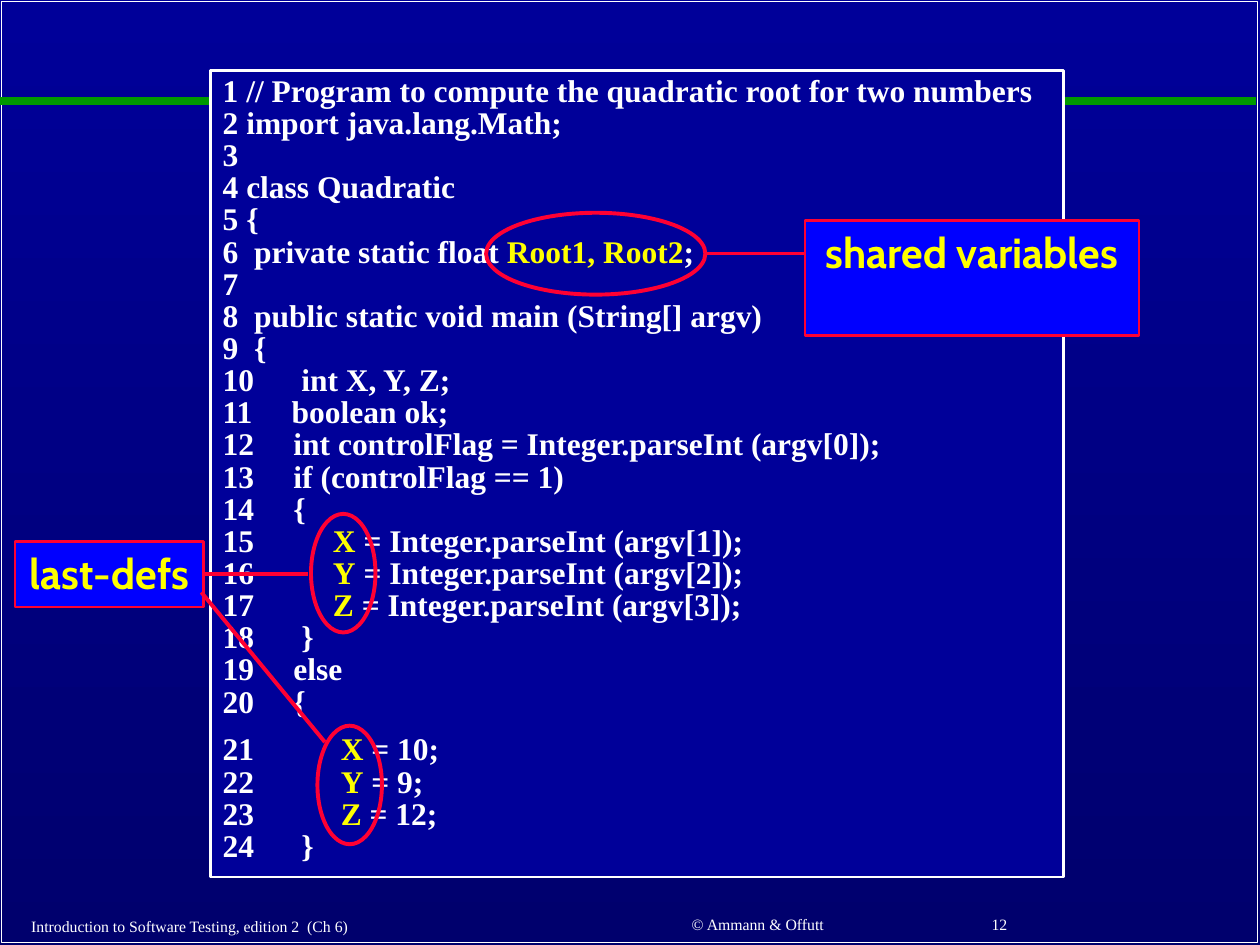
from lxml import etree
from pptx import Presentation
from pptx.dml.color import RGBColor
from pptx.enum.shapes import MSO_CONNECTOR, MSO_SHAPE
from pptx.enum.text import MSO_ANCHOR, PP_ALIGN
from pptx.oxml.ns import qn
from pptx.util import Cm, Pt

RECT, OVAL = MSO_SHAPE.RECTANGLE, MSO_SHAPE.OVAL
STRAIGHT = MSO_CONNECTOR.STRAIGHT
TOP, MIDDLE = MSO_ANCHOR.TOP, MSO_ANCHOR.MIDDLE
LEFT, CENTER = PP_ALIGN.LEFT, PP_ALIGN.CENTER

COLORS = {key: RGBColor.from_string(value) for key, value in {
    "sky": "000099", "depth": "00006D", "label": "0000FF", "text": "FFFFFF",
    "accent": "FFFF00", "mark": "FF0033", "rule": "009900"}.items()}
SERIF, SANS = "Times New Roman", "Cabin"

# Asterisks enclose the highlighted variables.
CODE_BLOCKS = [
    """1 // Program to compute the quadratic root for two numbers
2 import java.lang.Math;
3
4 class Quadratic
5 {
6  private static float *Root1, Root2*;
7
8  public static void main (String[] argv)
9  {
10      int X, Y, Z;
11     boolean ok;
12     int controlFlag = Integer.parseInt (argv[0]);
13     if (controlFlag == 1)
14     {
15          *X* = Integer.parseInt (argv[1]);
16          *Y* = Integer.parseInt (argv[2]);
17          *Z* = Integer.parseInt (argv[3]);
18      }
19     else
20     {""",
    """21           *X* = 10;
22           *Y* = 9;
23           *Z* = 12;
24      }""",
]

prs = Presentation()
prs.slide_width, prs.slide_height = Cm(25.4), Cm(19.05)
slide = prs.slides.add_slide(prs.slide_layouts[6])
shapes = slide.shapes

backdrop = slide.background.fill
backdrop.gradient()
backdrop.gradient_angle = 270
for stop, color in zip(backdrop.gradient_stops, ("sky", "depth")):
    stop.color.rgb = COLORS[color]


def add_outlined(kind, box, line, width, fill=None):
    shape = shapes.add_shape(kind, *map(Cm, box))
    shape.shadow.inherit = False
    if fill:
        shape.fill.solid()
        shape.fill.fore_color.rgb = COLORS[fill]
    else:
        shape.fill.background()
    shape.line.color.rgb = COLORS[line]
    shape.line.width = Pt(width)
    return shape


def add_line(start, end, color, width):
    line = shapes.add_connector(STRAIGHT, *map(Cm, start + end))
    line.line.color.rgb = COLORS[color]
    line.line.width = Pt(width)
    etree.SubElement(line._element.spPr, qn("a:effectLst"))
    return line


# Slide frame and title rule
add_outlined(RECT, (0.03, 0.03, 25.32, 18.97), "text", 1)
add_line((0, 2.03), (25.32, 2.03), "rule", 4.5)

# Footer
for words, box, align in [
    ("Introduction to Software Testing, edition 2  (Ch 6)", (0.38, 18.34, 10.44, 0.66), LEFT),
    ("© Ammann & Offutt", (11.25, 18.31, 8.05, 0.66), CENTER),
    ("12", (19.74, 18.29, 5.28, 0.69), LEFT),
]:
    footer = shapes.add_textbox(*map(Cm, box)).text_frame
    footer.vertical_anchor = MIDDLE
    footer.word_wrap = False
    footer.paragraphs[0].alignment = align
    run = footer.paragraphs[0].add_run()
    run.text = words
    run.font.size, run.font.name = Pt(9), SERIF
    run.font.color.rgb = COLORS["text"]

# Program listing
listing = add_outlined(RECT, (4.24, 1.42, 17.2, 16.26), "text", 1.5, "sky").text_frame
listing.vertical_anchor = TOP
listing.word_wrap = True
for block_index, block in enumerate(CODE_BLOCKS):
    paragraph = listing.add_paragraph() if block_index else listing.paragraphs[0]
    paragraph.alignment = LEFT
    paragraph.line_spacing = 0.85
    if block_index:
        paragraph.space_before = Pt(9)
    for line_index, code_line in enumerate(block.split("\n")):
        if line_index:
            paragraph.add_line_break()
        for part_index, part in enumerate(code_line.split("*")):
            run = paragraph.add_run()
            run.text = part
            run.font.size, run.font.name, run.font.bold = Pt(18), SERIF, True
            run.font.color.rgb = COLORS["accent" if part_index % 2 else "text"]

# Callout labels
callouts = {}
for words, box in [("last-defs", (0.3, 10.92, 3.81, 1.32)),
                   ("shared variables", (16.23, 4.45, 6.73, 2.31))]:
    callouts[words] = add_outlined(RECT, box, "mark", 1.5, "label")
    label = callouts[words].text_frame
    label.vertical_anchor = TOP
    label.word_wrap = True
    label.paragraphs[0].alignment = CENTER
    run = label.paragraphs[0].add_run()
    run.text = words
    run.font.size, run.font.name, run.font.bold = Pt(24), SANS, True
    run.font.color.rgb = COLORS["accent"]

# Rings around the variables, and the lines to their labels
for ring in [(6.27, 10.36, 1.3, 2.39), (6.4, 14.63, 1.3, 2.39), (9.8, 4.29, 4.42, 1.65)]:
    add_outlined(OVAL, ring, "mark", 2.25)
first_defs = add_line((4.11, 11.58), (6.2, 11.58), "mark", 2.25)
first_defs.begin_connect(callouts["last-defs"], 3)
add_line((4.06, 11.94), (6.55, 14.96), "mark", 2.25)
add_line((14.2, 5.11), (16.23, 5.11), "mark", 2.25)

prs.save("out.pptx")
